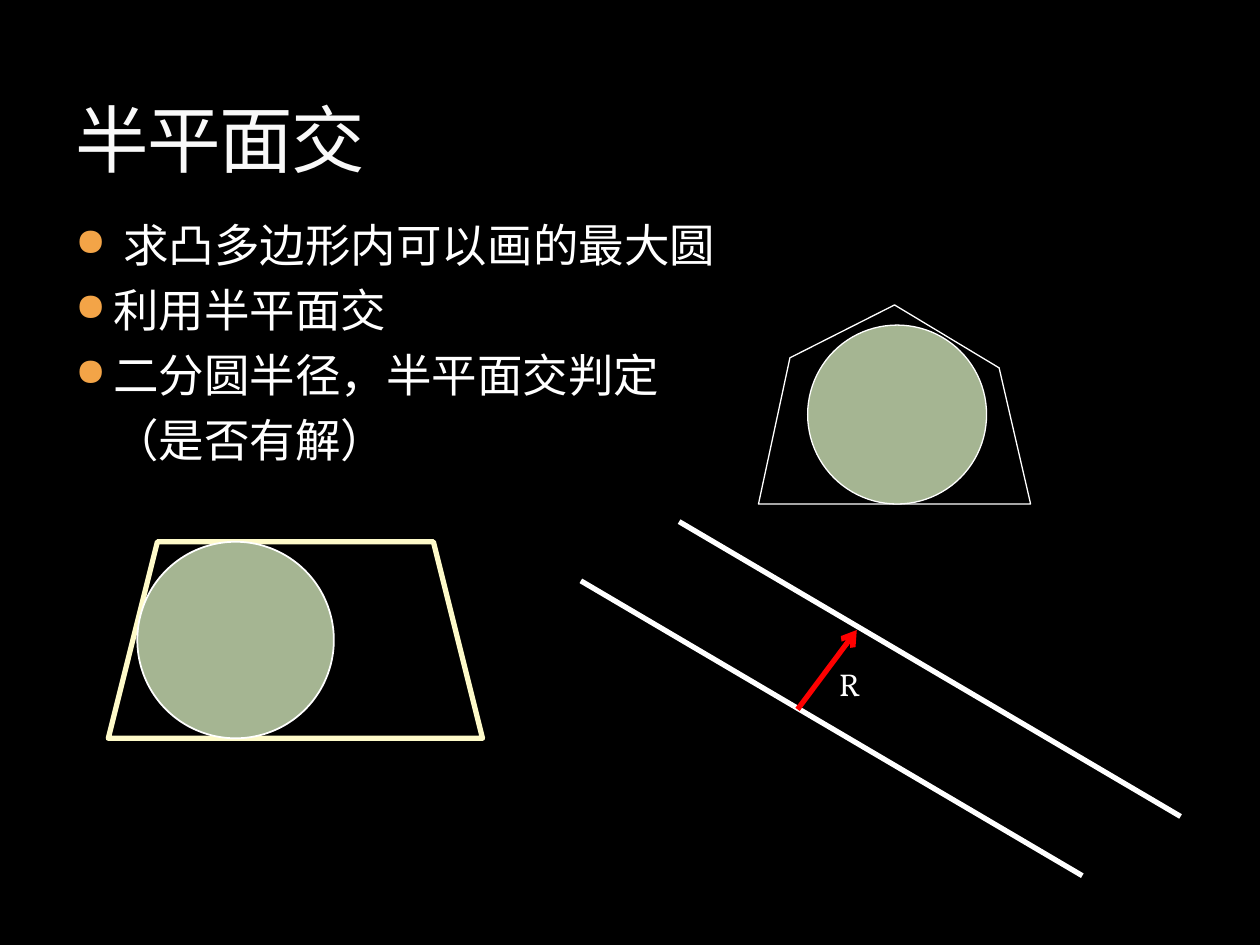
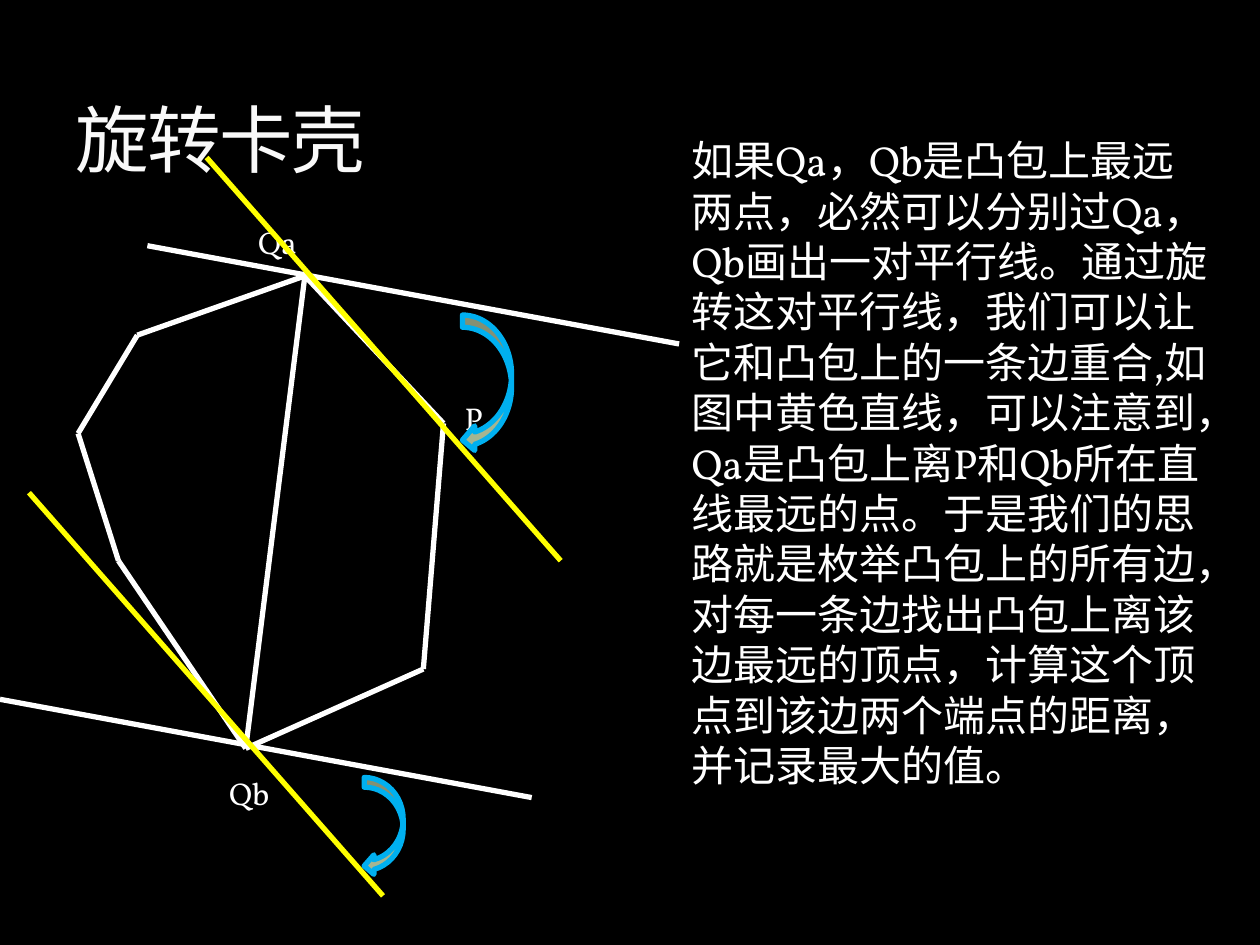
from lxml.etree import SubElement
from pptx import Presentation
from pptx.dml.color import RGBColor
from pptx.enum.shapes import MSO_CONNECTOR as Connector, MSO_SHAPE as Preset
from pptx.enum.text import MSO_ANCHOR as Anchor, MSO_AUTO_SIZE as AutoSize, PP_ALIGN as Align
from pptx.oxml import parse_xml
from pptx.oxml.ns import nsdecls, qn
from pptx.util import Inches, Pt

COLORS = {
    "background": "000000",
    "title": "F9F9F9",
    "title_outline": "3C4422",
    "white": "FFFFFF",
    "bullet": "F3A447",
    "circle": "A5B592",
    "trapezoid": "FEFAC9",
    "radius": "FF0000",
    "rotated": "FFFF00",
    "turn": "00B0F0",
}
FONT = "Vollkorn"


def color(name):
    return RGBColor.from_string(COLORS[name])


def write(para, text, size=18, fill="white"):
    """Add a formatted run to a paragraph."""
    span = para.add_run()
    span.text = text
    span.font.name = FONT
    span.font.size = Pt(size)
    span.font.color.rgb = color(fill)
    return span


def shifted(points, offset):
    return [(x + offset[0], y + offset[1]) for x, y in points]


class Painter:
    """Holds the deck style and the slide being drawn."""

    def __init__(self):
        self.deck = Presentation()
        self.deck.slide_width, self.deck.slide_height = Inches(10), Inches(7.5)
        fill = self.deck.slide_master.background.fill
        fill.solid()
        fill.fore_color.rgb = color("background")
        self.page = None

    def new_page(self, title):
        layout = self.deck.slide_layouts.get_by_name("Title Only")
        self.page = self.deck.slides.add_slide(layout)
        box = self.page.shapes.title
        box.left, box.top, box.width, box.height = map(Inches, (0.5, 0.17, 9, 1.33))
        frame = box.text_frame
        frame.vertical_anchor = Anchor.BOTTOM
        frame.auto_size = AutoSize.NONE
        para = frame.paragraphs[0]
        para.alignment = Align.LEFT
        span = write(para, title, size=42, fill="title")
        # Tight spacing and a faint outline
        props = span.font._element
        props.set("spc", "-100")
        props.insert(0, parse_xml(
            f'<a:ln {nsdecls("a")} w="3175"><a:solidFill>'
            f'<a:srgbClr val="{COLORS["title_outline"]}"><a:alpha val="25000"/></a:srgbClr>'
            '</a:solidFill><a:prstDash val="solid"/></a:ln>'))

    def text_box(self, left, top, width, height):
        box = self.page.shapes.add_textbox(*map(Inches, (left, top, width, height)))
        box.text_frame.word_wrap = True
        return box.text_frame

    def text(self, text, left, top, width, height=0.4, size=18):
        frame = self.text_box(left, top, width, height)
        frame.auto_size = AutoSize.SHAPE_TO_FIT_TEXT
        write(frame.paragraphs[0], text, size=size)

    def bullets(self, items, left, top, width, height):
        """Items are (text, has_bullet) pairs."""
        frame = self.text_box(left, top, width, height)
        for index, (text, has_bullet) in enumerate(items):
            para = frame.add_paragraph() if index else frame.paragraphs[0]
            para.space_before = Pt(6)
            write(para, text, size=26)
            props = para._p.get_or_add_pPr()
            props.set("marL", str(Inches(0.3)))
            if has_bullet:
                props.set("indent", str(-Inches(0.3)))
                tint = SubElement(props, qn("a:buClr"))
                SubElement(tint, qn("a:srgbClr"), val=COLORS["bullet"])
                SubElement(props, qn("a:buSzPct"), val="85000")
                SubElement(props, qn("a:buChar"), char="●")

    def finish(self, shape, fill, line, weight):
        shape.shadow.inherit = False
        if fill:
            shape.fill.solid()
            shape.fill.fore_color.rgb = color(fill)
        else:
            shape.fill.background()
        shape.line.color.rgb = color(line)
        shape.line.width = Pt(weight)

    def shape(self, preset, left, top, width, height, fill=None, line="white", weight=3):
        shape = self.page.shapes.add_shape(preset, *map(Inches, (left, top, width, height)))
        self.finish(shape, fill, line, weight)

    def circle(self, left, top, diameter, weight):
        self.shape(Preset.OVAL, left, top, diameter, diameter, "circle", weight=weight)

    def polygon(self, points, weight):
        corners = [(Inches(x), Inches(y)) for x, y in points]
        builder = self.page.shapes.build_freeform(*corners[0], scale=1.0)
        builder.add_line_segments(corners[1:], close=True)
        self.finish(builder.convert_to_shape(), None, "white", weight)

    def line(self, start, end, stroke="white", arrow=False):
        link = self.page.shapes.add_connector(
            Connector.STRAIGHT, *map(Inches, (*start, *end)))
        link.line.color.rgb = color(stroke)
        link.line.width = Pt(3)
        if arrow:
            SubElement(link.line._get_or_add_ln(), qn("a:tailEnd"), type="arrow")
        SubElement(link._element.spPr, qn("a:effectLst"))

    def parallels(self, points, offset, stroke="white"):
        self.line(*points, stroke=stroke)
        self.line(*shifted(points, offset), stroke=stroke)


def half_plane_page(painter):
    painter.new_page("半平面交")
    painter.bullets([
        (" 求凸多边形内可以画的最大圆", True),
        ("利用半平面交", True),
        ("二分圆半径，半平面交判定", True),
        ("（是否有解）", False),
    ], 0.5, 1.67, 9, 5)

    # Largest circles inside convex polygons
    painter.shape(Preset.TRAPEZOID, 0.86, 4.3, 2.97, 1.56, line="trapezoid")
    painter.circle(1.09, 4.3, 1.56, weight=1)
    painter.polygon([(7.1, 2.42), (6.27, 2.84), (6.02, 4), (8.18, 4), (7.93, 2.92)],
                    weight=0.75)
    painter.circle(6.41, 2.58, 1.42, weight=0.75)

    # Edge moved inwards by the radius
    painter.parallels([(4.61, 4.61), (8.59, 6.95)], (0.78, -0.47))
    painter.line((6.33, 5.63), (6.8, 5), stroke="radius", arrow=True)
    painter.text("R", 6.56, 5.23, 0.39)


def calipers_page(painter):
    painter.new_page("旋转卡壳")
    painter.text(
        "如果Qa，Qb是凸包上最远两点，必然可以分别过Qa，Qb画出一对平行线。"
        "通过旋转这对平行线，我们可以让它和凸包上的一条边重合,如图中黄色直线，"
        "可以注意到，Qa是凸包上离P和Qb所在直线最远的点。"
        "于是我们的思路就是枚举凸包上的所有边，对每一条边找出凸包上离该边最远的顶点，"
        "计算这个顶点到该边两个端点的距离，并记录最大的值。",
        5.39, 1.02, 4.3, 5.35, size=24)

    # Convex hull and its farthest pair
    point_a, point_b, point_p = (2.42, 2.19), (1.95, 5.94), (3.52, 3.36)
    hull = [point_a, (1.09, 2.66), (0.62, 3.44), (0.94, 4.45),
            point_b, (3.36, 5.31), point_p]
    for start, end in zip(hull, hull[1:] + hull[:1]):
        painter.line(start, end)
    for name, left, top in (("Qa", 1.95, 1.72), ("P", 3.59, 3.12), ("Qb", 1.72, 6.09)):
        painter.text(name, left, top, 0.86)
    painter.line(point_a, point_b)

    # Calipers before and after the turn
    painter.parallels([(5.39, 2.73), (1.17, 1.95)], (-1.17, 3.6))
    painter.parallels([(4.45, 4.45), (1.64, 1.25)], (-1.41, 2.66), stroke="rotated")
    for place in ((3.67, 2.5, 0.39, 1.09), (2.89, 6.17, 0.31, 0.78)):
        painter.shape(Preset.CURVED_LEFT_ARROW, *place, fill="circle", line="turn")


def main():
    painter = Painter()
    half_plane_page(painter)
    calipers_page(painter)
    painter.deck.save("out.pptx")


if __name__ == "__main__":
    main()
